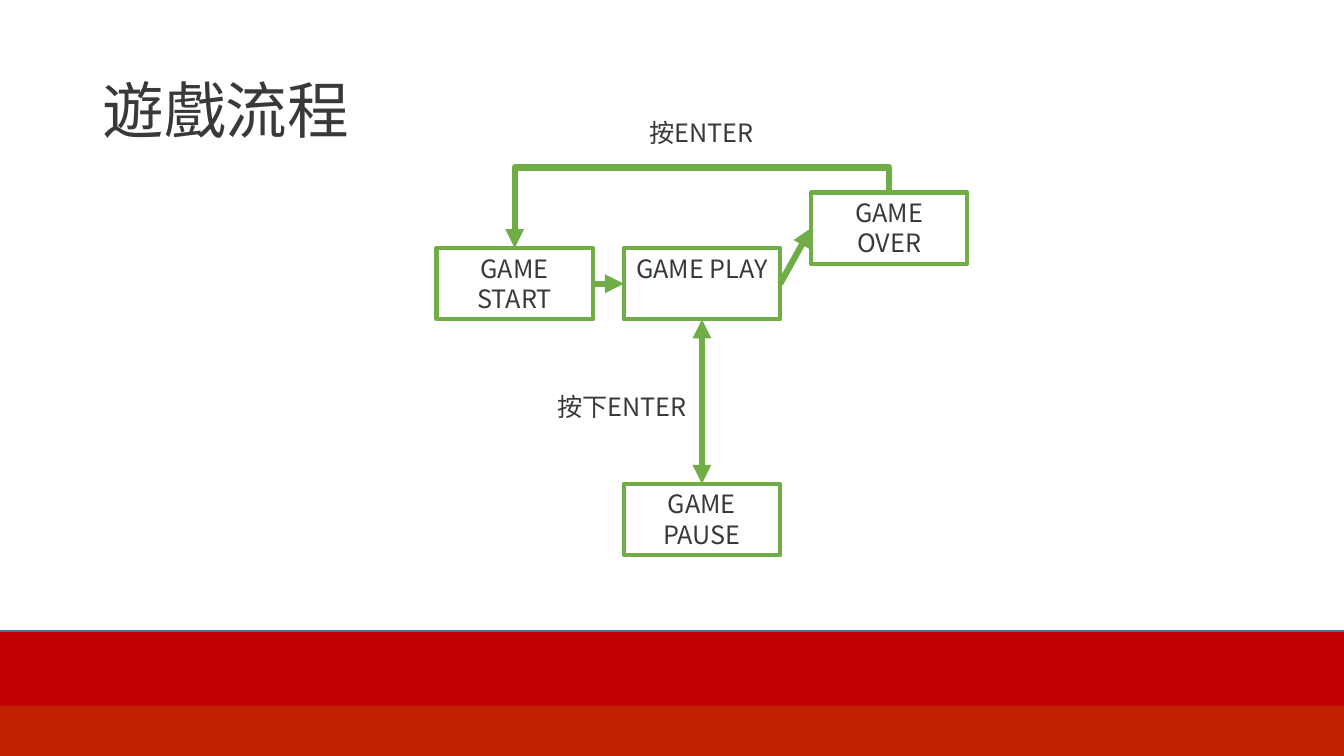
from dataclasses import dataclass

from lxml import etree
from pptx import Presentation
from pptx.dml.color import RGBColor
from pptx.enum.shapes import MSO_CONNECTOR, MSO_SHAPE
from pptx.enum.text import MSO_ANCHOR, MSO_AUTO_SIZE, PP_ALIGN
from pptx.oxml.ns import qn
from pptx.util import Cm, Pt

RECT = MSO_SHAPE.RECTANGLE
STRAIGHT, ELBOW = MSO_CONNECTOR.STRAIGHT, MSO_CONNECTOR.ELBOW
TOP, MIDDLE = MSO_ANCHOR.TOP, MSO_ANCHOR.MIDDLE
LEFT, CENTER = PP_ALIGN.LEFT, PP_ALIGN.CENTER
GROW = MSO_AUTO_SIZE.SHAPE_TO_FIT_TEXT
TOP_SIDE, LEFT_SIDE, BOTTOM_SIDE, RIGHT_SIDE = range(4)


@dataclass(frozen=True)
class Theme:
    font: str = "Noto Sans CJK SC"
    title_size: Pt = Pt(44)
    body_size: Pt = Pt(18)
    text: RGBColor = RGBColor(0x3B, 0x38, 0x38)
    white: RGBColor = RGBColor(0xFF, 0xFF, 0xFF)
    green: RGBColor = RGBColor(0x70, 0xAD, 0x47)
    red: RGBColor = RGBColor(0xC0, 0x00, 0x00)
    orange: RGBColor = RGBColor(0xC0, 0x20, 0x00)
    blue: RGBColor = RGBColor(0x43, 0x73, 0x9E)


theme = Theme()


def write(sp, text, size, align, anchor):
    tf = sp.text_frame
    tf.text = text
    tf.word_wrap = True
    tf.vertical_anchor = anchor
    for p in tf.paragraphs:
        p.alignment = align
        for r in p.runs:
            r.font.name = theme.font
            r.font.size = size
            r.font.color.rgb = theme.text
            ea = etree.SubElement(r.font._element, qn("a:ea"))
            ea.set("typeface", theme.font)


def style_arrow(cx, ends):
    """Make a connector thick and green, with triangles at the given ends."""
    cx.line.color.rgb = theme.green
    cx.line.width = Pt(4.5)
    ln = cx.line._get_or_add_ln()
    for end in ends:
        etree.SubElement(ln, qn(f"a:{end}")).set("type", "triangle")
    etree.SubElement(cx._element.spPr, qn("a:effectLst"))


prs = Presentation()
prs.slide_width, prs.slide_height = Cm(33.87), Cm(19.05)
slide = prs.slides.add_slide(prs.slide_layouts[5])
shapes = slide.shapes

# Bottom bands
for left, top, height, fill, outline in [
    (-0.89, 15.9, 6.3, theme.red, theme.blue),
    (-0.79, 17.78, 3.78, theme.orange, None),
]:
    band = shapes.add_shape(RECT, Cm(left), Cm(top), Cm(35.64), Cm(height))
    band.shadow.inherit = False
    band.fill.solid()
    band.fill.fore_color.rgb = fill
    if outline:
        band.line.color.rgb = outline
        band.line.width = Pt(1)
    else:
        band.line.fill.background()

# Title
title = shapes.title
title.left, title.top, title.width, title.height = Cm(2.33), Cm(1.02), Cm(29.21), Cm(3.68)
write(title, "遊戲流程", theme.title_size, LEFT, MIDDLE)
title.text_frame.paragraphs[0].line_spacing = 0.9

# Game states: column, top, text
box_w, box_h = Cm(3.94), Cm(1.8)
states = {}
for name, column, top, text in [
    ("start", 0, 6.25, "GAME START"),
    ("play", 1, 6.25, "GAME PLAY"),
    ("pause", 1, 12.19, "GAME\nPAUSE"),
    ("over", 2, 4.85, "GAME OVER"),
]:
    sp = shapes.add_shape(RECT, Cm(11 + 4.72 * column), Cm(top), box_w, box_h)
    sp.shadow.inherit = False
    sp.fill.solid()
    sp.fill.fore_color.rgb = theme.white
    sp.line.color.rgb = theme.green
    sp.line.width = Pt(3)
    write(sp, text, theme.body_size, CENTER, TOP)
    sp.text_frame.auto_size = GROW
    states[name] = sp

# Key labels
for left, top, text in [(13.67, 9.73, "按下ENTER"), (15.67, 2.84, "按ENTER")]:
    label = shapes.add_textbox(Cm(left), Cm(top), Cm(4.01), Cm(1.02))
    write(label, text, theme.body_size, CENTER, TOP)
    label.text_frame.auto_size = GROW

# Straight transitions
for source, source_side, target, target_side, ends in [
    ("start", RIGHT_SIDE, "play", LEFT_SIDE, ["tailEnd"]),
    ("play", BOTTOM_SIDE, "pause", TOP_SIDE, ["headEnd", "tailEnd"]),
    ("play", RIGHT_SIDE, "over", LEFT_SIDE, ["tailEnd"]),
]:
    cx = shapes.add_connector(STRAIGHT, 0, 0, 0, 0)
    cx.begin_connect(states[source], source_side)
    cx.end_connect(states[target], target_side)
    style_arrow(cx, ends)

# Restart: from the top of GAME OVER, up and back to the top of GAME START.
# The elbow is laid out upright around its centre, then turned a quarter.
start, over = states["start"], states["over"]
span, drop = over.left - start.left, start.top - over.top
mid_x = (start.left + over.left + box_w) // 2
mid_y = (start.top + over.top) // 2
restart = shapes.add_connector(
    ELBOW, mid_x - drop // 2, mid_y - span // 2, mid_x + drop // 2, mid_y + span // 2
)
restart._element.spPr.find(qn("a:xfrm")).set("rot", str(90 * 60000))
guides = restart._element.spPr.find(qn("a:prstGeom")).find(qn("a:avLst"))
guide = etree.SubElement(guides, qn("a:gd"))
guide.set("name", "adj1")
guide.set("fmla", "val -45000")
style_arrow(restart, ["tailEnd"])

prs.save("out.pptx")
